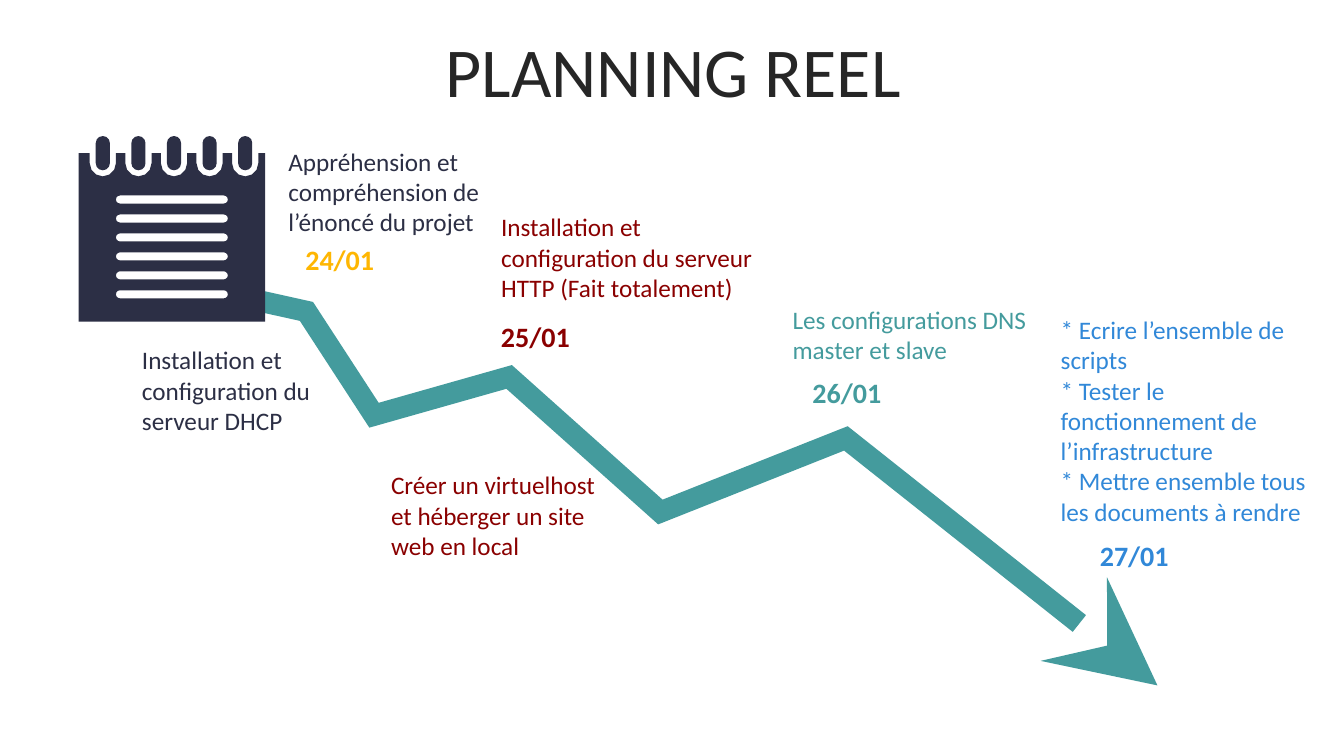
import math

from lxml import etree
from pptx import Presentation
from pptx import util as u
from pptx.dml.color import RGBColor
from pptx.enum import text
from pptx.oxml.ns import qn

FONT = "Calibri"
COLORS = {
    "title": "262626",
    "navy": "2C2F45",
    "red": "8A0000",
    "teal": "449B9D",
    "blue": "3188D8",
    "yellow": "FEB602",
}
TITLE = "PLANNING REEL"

# left, top, width, height, side inset, colour, paragraphs
TASKS = [
    (2.74, 1.4, 2.85, 1.01, 0.12, "navy",
     ["Appréhension et compréhension de l’énoncé du projet"]),
    (1.31, 3.37, 2.04, 1.01, 0.1, "navy",
     ["Installation et configuration du serveur DHCP"]),
    (4.85, 2.05, 2.85, 1.01, 0.12, "red",
     ["Installation et configuration du serveur HTTP (Fait totalement)"]),
    (3.78, 4.61, 2.32, 1.01, 0.1, "red",
     ["Créer un virtuelhost et héberger un site web en local"]),
    (7.74, 2.97, 2.85, 0.71, 0.12, "teal",
     ["Les configurations DNS master et slave"]),
    (10.4, 3.07, 2.85, 2.22, 0.12, "blue",
     ["* Ecrire l’ensemble de scripts",
      "* Tester le fonctionnement de l’infrastructure",
      "* Mettre ensemble tous les documents à rendre"]),
]
# left, top, width, colour, date
DATES = [
    (2.93, 2.36, 0.92, "yellow", "24/01"),
    (4.87, 3.12, 1.21, "red", "25/01"),
    (7.96, 3.68, 1.21, "teal", "26/01"),
    (10.81, 5.29, 1.21, "blue", "27/01"),
]
ROUTE = [(2.32, 2.93), (3.04, 3.09), (3.71, 4.12), (5.05, 3.74),
         (6.55, 5.08), (8.39, 4.35), (11.48, 6.8)]

# Notepad measures
PAD_LEFT, PAD_TOP, PAD_RIGHT, PAD_BOTTOM = 0.78, 1.52, 2.63, 3.19
RING_XS = [1.02 + 0.353 * i for i in range(5)]
RULE_YS = [1.98 + 0.188 * i for i in range(6)]

deck = Presentation()
deck.slide_width, deck.slide_height = u.Inches(13.33), u.Inches(7.5)
page = deck.slides.add_slide(deck.slide_layouts[6])


def color(name):
    return RGBColor.from_string(COLORS[name])


def add_text(place, lines, size, color_name, inset=0.1, bold=False):
    box = page.shapes.add_textbox(*map(u.Inches, place))
    frame = box.text_frame
    frame.word_wrap = True
    frame.margin_left = frame.margin_right = u.Inches(inset)
    frame.text = "\n".join(lines)
    for para in frame.paragraphs:
        para.font.name, para.font.size = FONT, u.Pt(size)
        para.font.bold = bold
        para.font.color.rgb = color(color_name)
    return frame


def arc(x, y, radius, start, end, steps=6):
    angles = [math.radians(start + (end - start) * i / steps) for i in range(steps + 1)]
    return [(x + radius * math.cos(a), y + radius * math.sin(a)) for a in angles]


def add_outline(contours, close):
    contours = [[(u.Inches(x), u.Inches(y)) for x, y in points] for points in contours]
    builder = page.shapes.build_freeform(*contours[0][0])
    for number, points in enumerate(contours):
        if number:
            builder.move_to(*points[0])
        builder.add_line_segments(points[1:], close=close)
    shape = builder.convert_to_shape()
    shape.shadow.inherit = False
    return shape


# Title
title = add_text((0.35, 0.37, 12.66, 0.79), [TITLE], 50, "title")
title.vertical_anchor = text.MSO_ANCHOR.MIDDLE
title.paragraphs[0].alignment = text.PP_ALIGN.CENTER
title.paragraphs[0].line_spacing = 0.8

# Zigzag arrow
arrow = add_outline([ROUTE], close=False)
arrow.fill.background()
arrow.line.color.rgb = color("teal")
arrow.line.width = u.Pt(15.25)
line = arrow.line._get_or_add_ln()
etree.SubElement(line, qn("a:miter"), lim="800000")
etree.SubElement(line, qn("a:tailEnd"), type="stealth", w="lg", len="lg")

# Notepad: notched sheet, ruled slots, binding rings
sheet = [(PAD_LEFT, PAD_TOP)]
for x in RING_XS:
    sheet += [(x - 0.13, PAD_TOP), *arc(x, 1.62, 0.13, 180, 0), (x + 0.13, PAD_TOP)]
sheet += [(PAD_RIGHT, PAD_TOP), (PAD_RIGHT, PAD_BOTTOM), (PAD_LEFT, PAD_BOTTOM)]
slots = [arc(1.19, y, 0.04, 270, 90) + arc(2.22, y, 0.04, 90, -90) for y in RULE_YS]
rings = [arc(x, 1.42, 0.07, 180, 360) + arc(x, 1.62, 0.07, 0, 180) for x in RING_XS]
notepad = add_outline([sheet, *slots, *rings], close=True)
notepad.fill.solid()
notepad.fill.fore_color.rgb = color("navy")
notepad.line.fill.background()

# Tasks and dates
for left, top, width, height, inset, color_name, lines in TASKS:
    add_text((left, top, width, height), lines, 18, color_name, inset)
for left, top, width, color_name, date in DATES:
    add_text((left, top, width, 0.44), [date], 20, color_name, bold=True)

deck.save("out.pptx")
